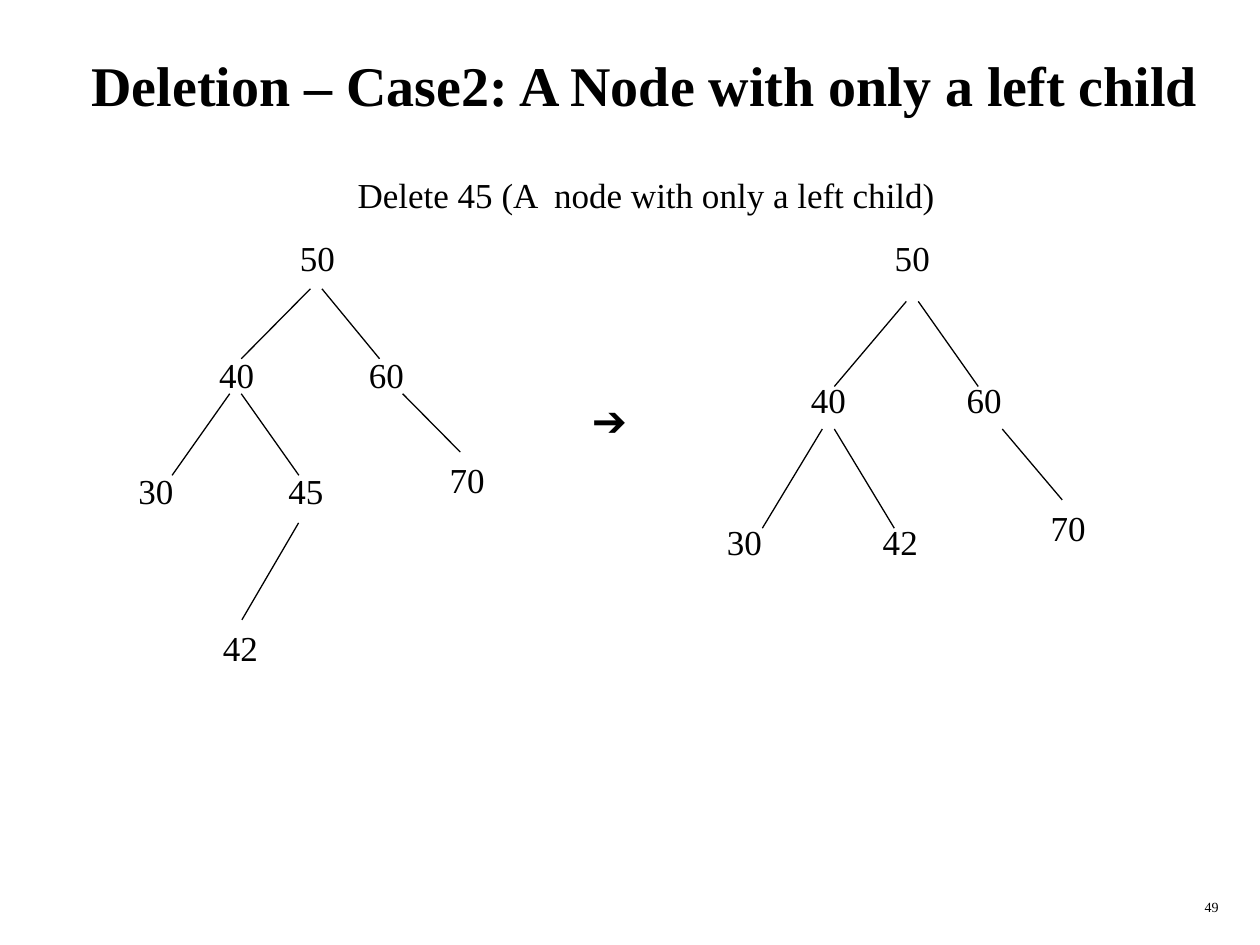
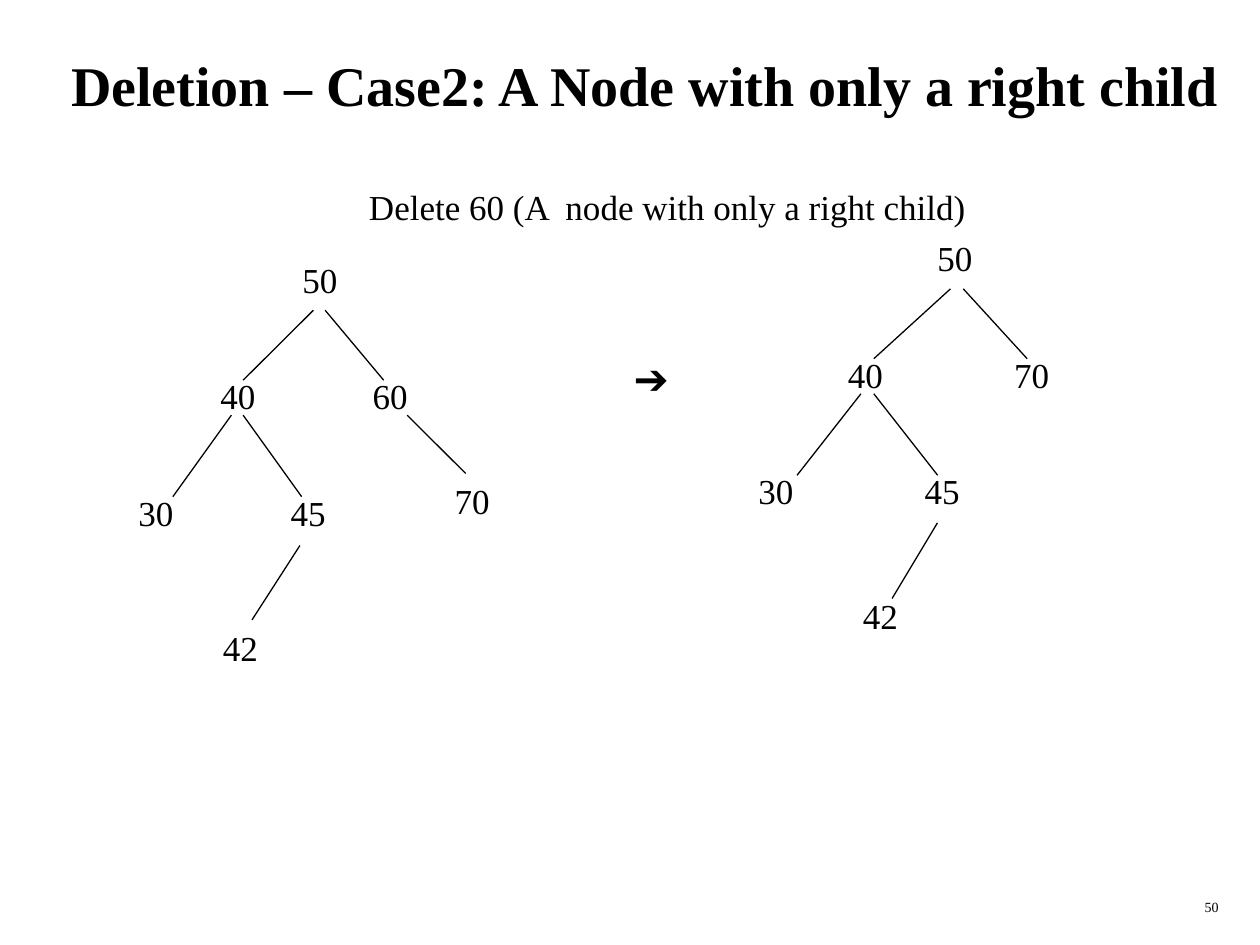
from dataclasses import dataclass
from lxml import etree
from pptx import Presentation
from pptx.dml.color import RGBColor
from pptx.enum.shapes import MSO_CONNECTOR
from pptx.enum.text import MSO_ANCHOR, MSO_AUTO_SIZE, PP_ALIGN
from pptx.oxml.ns import qn
from pptx.util import Inches, Pt

STRAIGHT = MSO_CONNECTOR.STRAIGHT
MIDDLE = MSO_ANCHOR.MIDDLE
NO_FIT, GROW = MSO_AUTO_SIZE.NONE, MSO_AUTO_SIZE.SHAPE_TO_FIT_TEXT
LEFT, CENTER, RIGHT = PP_ALIGN.LEFT, PP_ALIGN.CENTER, PP_ALIGN.RIGHT


@dataclass(frozen=True)
class Theme:
    ink: RGBColor = RGBColor(0, 0, 0)
    face: str = "Times New Roman"
    symbol_face: str = "Arial"
    title_size: int = 32
    text_size: int = 20
    arrow_size: int = 24
    number_size: int = 8
    edge_width: float = 0.75


THEME = Theme()

CASES = [
    {
        "title": "Deletion – Case2: A Node with only a left child",
        "task": ("Delete 45 (A  node with only a left child)", (2.74, 1.33, 4.8, 0.44)),
        "arrow": (4.6, 3.08, 0.53, 0.5),
        "number": "49",
        "trees": [
            {
                "origin": (1, 1.83), "span": (2.47, 1.85),
                "keys": {"root": "50", "L": "40", "R": "60",
                         "LL": "30", "LR": "45", "RR": "70"},
                "leaf": ("42", (1.67, 4.92), (2.37, 4.15), (1.92, 4.92)),
            },
            {
                "origin": (5.67, 1.83), "span": (2.57, 2.25),
                "keys": {"root": "50", "L": "40", "R": "60",
                         "LL": "30", "LR": "42", "RR": "70"},
            },
        ],
    },
    {
        "title": "Deletion – Case2: A Node with only a right child",
        "task": ("Delete 60 (A  node with only a right child)", (2.83, 1.42, 4.95, 0.44)),
        "arrow": (4.93, 2.75, 0.53, 0.5),
        "number": "50",
        "trees": [
            {
                "origin": (1, 2), "span": (2.51, 1.85),
                "keys": {"root": "50", "L": "40", "R": "60",
                         "LL": "30", "LR": "45", "RR": "70"},
                "leaf": ("42", (1.67, 4.92), (2.38, 4.33), (2, 4.92)),
            },
            {
                "origin": (5.92, 1.83), "span": (2.74, 1.85),
                "keys": {"root": "50", "L": "40", "R": "70",
                         "LL": "30", "LR": "45"},
                "leaf": ("42", (6.75, 4.67), (7.44, 4.15), (7.08, 4.75)),
            },
        ],
    },
]

GRID_COLUMNS, GRID_ROWS = 27, 20
NODE_CELLS = {"root": (14, 0), "L": (7, 10), "R": (20, 10),
              "LL": (0, 20), "LR": (13, 20), "RR": (27, 19)}
EDGE_CELLS = {"L": ((16, 5), (10, 11)), "R": ((17, 5), (22, 11)),
              "LL": ((9, 14), (4, 21)), "LR": ((10, 14), (15, 21)),
              "RR": ((24, 14), (29, 19))}
NODE_SIZE = (0.48, 0.44)
TITLE_BOX = (0.39, 0.17, 9.46, 1)
NUMBER_BOX = (7.69, 7.08, 2.08, 0.25)


def style(frame, size, face=THEME.face, align=LEFT, bold=False):
    paragraph = frame.paragraphs[0]
    paragraph.alignment = align
    for run in paragraph.runs:
        run.font.size = Pt(size)
        run.font.name = face
        run.font.bold = bold
        run.font.color.rgb = THEME.ink


def add_text(slide, text, box, size=THEME.text_size, face=THEME.face):
    frame = slide.shapes.add_textbox(*map(Inches, box)).text_frame
    frame.text = text
    frame.word_wrap = False
    frame.auto_size = GROW
    style(frame, size, face)


def add_edge(slide, start, end):
    edge = slide.shapes.add_connector(STRAIGHT, *map(Inches, (*start, *end)))
    edge.line.color.rgb = THEME.ink
    edge.line.width = Pt(THEME.edge_width)
    etree.SubElement(edge._element.spPr, qn("a:effectLst"))


def add_tree(slide, tree):
    left, top = tree["origin"]
    width, height = tree["span"]

    def place(cell):
        column, row = cell
        return left + column * width / GRID_COLUMNS, top + row * height / GRID_ROWS

    for slot, key in tree["keys"].items():
        if slot in EDGE_CELLS:
            add_edge(slide, *map(place, EDGE_CELLS[slot]))
        add_text(slide, key, (*place(NODE_CELLS[slot]), *NODE_SIZE))
    if "leaf" in tree:
        key, corner, start, end = tree["leaf"]
        add_edge(slide, start, end)
        add_text(slide, key, (*corner, *NODE_SIZE))


def add_number(slide, number):
    frame = slide.shapes.add_textbox(*map(Inches, NUMBER_BOX)).text_frame
    frame.text = number
    frame.word_wrap = True
    style(frame, THEME.number_size, align=RIGHT)


def add_case(deck, layout, case):
    slide = deck.slides.add_slide(layout)
    heading = slide.shapes.title.text_frame
    heading.text = case["title"]
    heading.auto_size = NO_FIT
    heading.vertical_anchor = MIDDLE
    style(heading, THEME.title_size, align=CENTER, bold=True)
    add_text(slide, *case["task"])
    for tree in case["trees"]:
        add_tree(slide, tree)
    add_text(slide, "➔", case["arrow"], THEME.arrow_size, THEME.symbol_face)
    add_number(slide, case["number"])


def main():
    deck = Presentation()
    deck.slide_width, deck.slide_height = Inches(10), Inches(7.5)
    layout = deck.slide_layouts.get_by_name("Title Only")
    title = layout.placeholders[0]
    title.left, title.top, title.width, title.height = map(Inches, TITLE_BOX)
    for case in CASES:
        add_case(deck, layout, case)
    deck.save("out.pptx")


if __name__ == "__main__":
    main()
